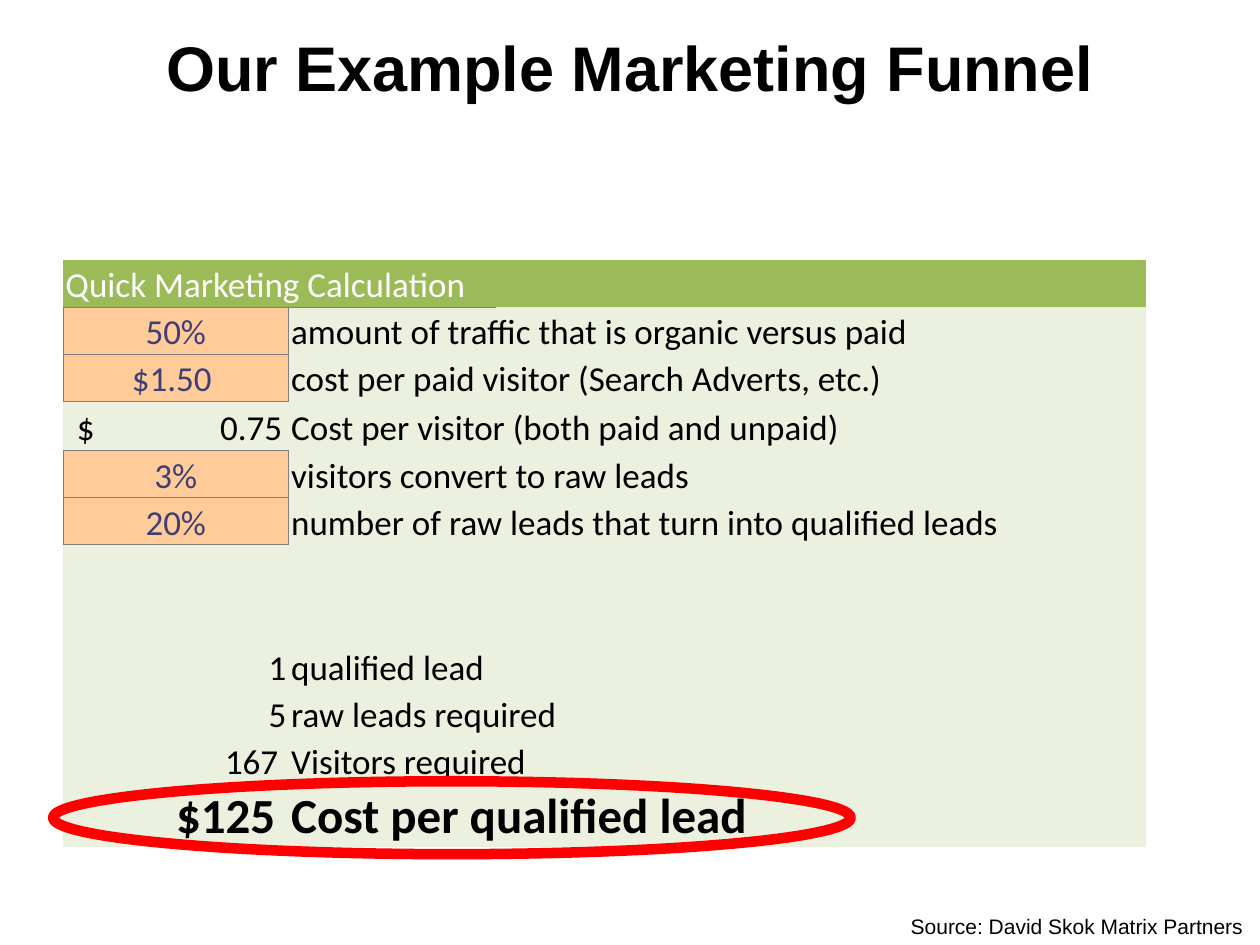
from dataclasses import dataclass

from lxml.etree import SubElement
from pptx import Presentation
from pptx.dml.color import RGBColor as RGB
from pptx.enum.shapes import MSO_SHAPE as Shape
from pptx.enum.text import MSO_ANCHOR as Anchor, MSO_AUTO_SIZE as AutoSize, PP_ALIGN as Align
from pptx.oxml import parse_xml
from pptx.oxml.ns import nsdecls, qn
from pptx.util import Cm, Pt


@dataclass(frozen=True)
class Theme:
    heading: str = "Arial"
    body: str = "Calibri"
    black: str = "000000"
    white: str = "FFFFFF"
    header: str = "9BBB59"
    panel: str = "EBF1DE"
    entry: str = "FFCC99"
    entry_text: str = "3F3F76"
    border: str = "7F7F7F"
    ring: str = "FF0000"
    title_size: int = 36
    table_size: int = 20
    result_size: int = 28
    source_size: int = 12
    ring_width: int = 6


T = Theme()
NO_STYLE = "{2D5ABB26-0587-4C30-8999-92F81FD0307C}"
COLUMNS = [4.55, 4.17, 4.37, 4.37, 4.37]
ROW, TALL_ROW, RESULT_ROW = 0.95, 0.99, 1.23
ROWS = [
    ("header", "Quick Marketing Calculation", "", 2),
    ("entry", "50%", "amount of traffic that is organic versus paid", 3),
    ("entry", "$1.50 ", "cost per paid visitor (Search Adverts, etc.)", 3),
    ("money", "$\t0.75", "Cost per visitor (both paid and unpaid)", 3),
    ("entry", "3%", "visitors convert to raw leads", 2),
    ("entry", "20%", "number of raw leads that turn into qualified leads", 4),
    ("blank", "", "", 1),
    ("blank", "", "", 1),
    ("count", "1", "qualified lead", 1),
    ("count", "5", "raw leads required", 2),
    ("count", "167 ", "Visitors required", 2),
    ("result", "$125 ", "Cost per qualified lead", 4),
]
ALIGN = {"entry": Align.CENTER, "count": Align.RIGHT, "result": Align.RIGHT}
HEIGHTS = {"money": TALL_ROW, "blank": TALL_ROW, "result": RESULT_ROW}


def add_run(p, text, font, size, color, bold=False):
    r = p.add_run()
    r.text = text
    r.font.name, r.font.size, r.font.bold = font, Pt(size), bold
    r.font.color.rgb = RGB.from_string(color)


def place(sp, box):
    sp.left, sp.top, sp.width, sp.height = map(Cm, box)


def add_border(cell):
    tc_pr = cell._tc.get_or_add_tcPr()
    for i, side in enumerate("LRTB"):
        tc_pr.insert(i, parse_xml(
            f'<a:ln{side} {nsdecls("a")} w="6350"><a:solidFill>'
            f'<a:srgbClr val="{T.border}"/></a:solidFill></a:ln{side}>'))


def add_right_tab(p, position):
    tabs = SubElement(p._p.get_or_add_pPr(), qn("a:tabLst"))
    SubElement(tabs, qn("a:tab"), pos=str(Cm(position)), algn="r")


def format_cell(cell, fill):
    cell.fill.solid()
    cell.fill.fore_color.rgb = RGB.from_string(fill)
    cell.vertical_anchor = Anchor.BOTTOM
    cell.margin_left = cell.margin_right = cell.margin_top = Cm(0.05)
    cell.margin_bottom = 0
    cell.text_frame.paragraphs[0].font.size = Pt(T.table_size)


def fill_row(table, i, kind, value, label, span):
    cells = [table.cell(i, j) for j in range(len(COLUMNS))]
    for cell in cells:
        format_cell(cell, T.header if kind == "header" else T.panel)
    first = 0 if kind == "header" else 1
    if span > 1:
        cells[first].merge(cells[first + span - 1])
    if kind == "entry":
        cells[0].fill.fore_color.rgb = RGB.from_string(T.entry)
        add_border(cells[0])
    p = cells[0].text_frame.paragraphs[0]
    if kind == "money":
        cells[0].margin_left = Cm(0.28)
        add_right_tab(p, 4.14)
    p.alignment = ALIGN.get(kind, Align.LEFT)
    color = {"header": T.white, "entry": T.entry_text}.get(kind, T.black)
    bold = kind == "result"
    size = T.result_size if bold else T.table_size
    if value:
        add_run(p, value, T.body, size, color, bold)
    if label:
        add_run(cells[1].text_frame.paragraphs[0], label, T.body, size, T.black, bold)


def add_title(s, box):
    sp = s.shapes.title
    place(sp, box)
    tf = sp.text_frame
    tf.vertical_anchor = Anchor.MIDDLE
    p = tf.paragraphs[0]
    p.alignment = Align.CENTER
    add_run(p, "Our Example Marketing Funnel", T.heading, T.title_size, T.black, True)


def add_calculation(s, box):
    frame = s.shapes.add_table(len(ROWS), len(COLUMNS), *map(Cm, box))
    table = frame.table
    table.first_row = table.horz_banding = False
    table._tbl.tblPr.find(qn("a:tableStyleId")).text = NO_STYLE
    for column, width in zip(table.columns, COLUMNS):
        column.width = Cm(width)
    for i, (kind, value, label, span) in enumerate(ROWS):
        table.rows[i].height = Cm(HEIGHTS.get(kind, ROW))
        fill_row(table, i, kind, value, label, span)


def add_ring(s, box):
    sp = s.shapes.add_shape(Shape.OVAL, *map(Cm, box))
    sp.shadow.inherit = False
    sp.fill.background()
    sp.line.color.rgb = RGB.from_string(T.ring)
    sp.line.width = Pt(T.ring_width)


def add_source(s, box):
    tf = s.shapes.add_textbox(*map(Cm, box)).text_frame
    tf.word_wrap = False
    tf.auto_size = AutoSize.SHAPE_TO_FIT_TEXT
    add_run(tf.paragraphs[0], "Source: David Skok Matrix Partners",
            T.heading, T.source_size, T.black)


def main():
    prs = Presentation()
    prs.slide_width, prs.slide_height = Cm(25.4), Cm(19.05)
    s = prs.slides.add_slide(prs.slide_layouts[5])
    add_title(s, (1.27, 0.43, 22.86, 1.83))
    add_calculation(s, (1.27, 5.24, sum(COLUMNS), 11.76))
    add_ring(s, (1.07, 15.75, 16.08, 1.47))
    add_source(s, (18.11, 18.29, 7.29, 0.76))
    prs.save("out.pptx")


if __name__ == "__main__":
    main()
